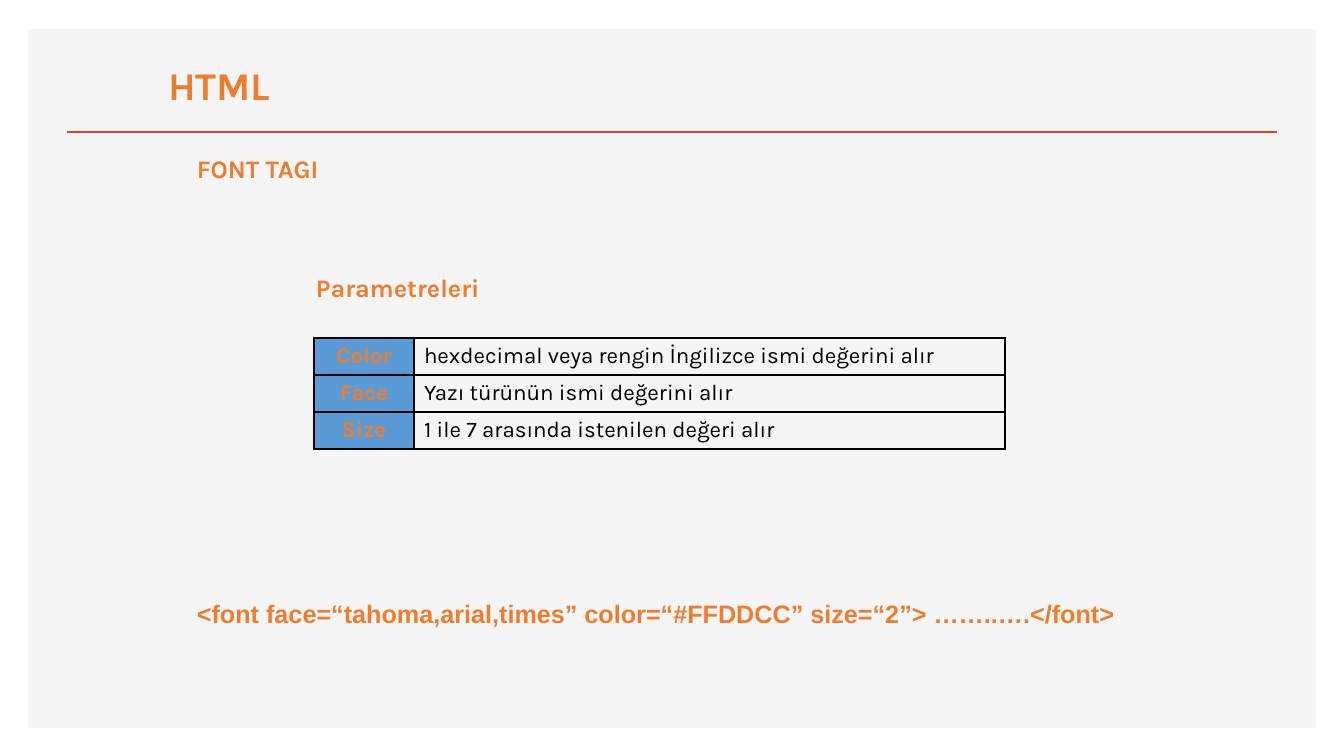
from dataclasses import dataclass

from lxml.etree import SubElement
from pptx import Presentation
from pptx.dml.color import RGBColor
from pptx.enum.shapes import MSO_CONNECTOR, MSO_SHAPE
from pptx.enum.text import MSO_ANCHOR, MSO_AUTO_SIZE, PP_ALIGN
from pptx.oxml.ns import qn
from pptx.util import Emu, Pt

HEADING = "HTML"
TAG_NAME = "FONT TAGI"
TABLE_CAPTION = "Parametreleri"
PARAMETERS = [
    ("Color", "hexdecimal veya rengin İngilizce ismi değerini alır"),
    ("Face", "Yazı türünün ismi değerini alır"),
    ("Size", "1 ile 7 arasında istenilen değeri alır"),
]
EXAMPLE = "<font face=“tahoma,arial,times” color=“#FFDDCC” size=“2”> ……..….</font>"

PX_PER_INCH = 100.8
SLIDE_SIZE = (1344, 756)
PANEL = (28, 29, 1288, 699)
RULE = (67, 132, 1277, 132)
HEADING_BOX = (158, 56, 132, 57)
TEXT_LEFT = 187
TAG_BOX = (TEXT_LEFT, 148, 928, 40)
CAPTION_BOX = (306, 267, 350, 40)
EXAMPLE_BOX = (TEXT_LEFT, 593, 945, 40)
TABLE_ORIGIN = (314, 338)
COLUMN_WIDTHS = (100, 591)
ROW_HEIGHT = 37


@dataclass(frozen=True)
class Theme:
    panel: str = "F5F5F5"
    rule: str = "D24726"
    accent: str = "ED7D31"
    key_fill: str = "5B9BD5"
    ink: str = "000000"
    font: str = "Karla"
    code_font: str = "Arial"
    heading_size: int = 28
    text_size: int = 18
    table_size: int = 16
    rule_width: int = 2
    border_width: int = 1


THEME = Theme()


def px(length):
    return Emu(round(length * 914400 / PX_PER_INCH))


def color(code):
    return RGBColor.from_string(code)


def write(frame, text, size, code=THEME.accent, bold=True, font=THEME.font,
          align=PP_ALIGN.LEFT):
    paragraph = frame.paragraphs[0]
    paragraph.alignment = align
    run = paragraph.add_run()
    run.text = text
    run.font.name = font
    run.font.size = Pt(size)
    run.font.bold = bold
    run.font.color.rgb = color(code)


def add_text(slide, box, text, font=THEME.font):
    frame = slide.shapes.add_textbox(*map(px, box)).text_frame
    frame.word_wrap = True
    frame.auto_size = MSO_AUTO_SIZE.SHAPE_TO_FIT_TEXT
    write(frame, text, THEME.text_size, font=font)


def add_borders(cell):
    properties = cell._tc.get_or_add_tcPr()
    for position, side in enumerate(("a:lnL", "a:lnR", "a:lnT", "a:lnB")):
        border = SubElement(properties, qn(side), w=str(Pt(THEME.border_width)))
        fill = SubElement(border, qn("a:solidFill"))
        SubElement(fill, qn("a:srgbClr"), val=THEME.ink)
        properties.insert(position, border)


def add_background(slide):
    panel = slide.shapes.add_shape(MSO_SHAPE.RECTANGLE, *map(px, PANEL))
    panel.shadow.inherit = False
    panel.fill.solid()
    panel.fill.fore_color.rgb = color(THEME.panel)
    panel.line.fill.background()
    slide.shapes._spTree.insert(2, panel._element)

    rule = slide.shapes.add_connector(MSO_CONNECTOR.STRAIGHT, *map(px, RULE))
    rule.line.color.rgb = color(THEME.rule)
    rule.line.width = Pt(THEME.rule_width)
    SubElement(rule._element.spPr, qn("a:effectLst"))


def add_heading(slide):
    heading = slide.shapes.title
    heading.left, heading.top, heading.width, heading.height = map(px, HEADING_BOX)
    frame = heading.text_frame
    frame.word_wrap = False
    frame.auto_size = MSO_AUTO_SIZE.SHAPE_TO_FIT_TEXT
    frame.vertical_anchor = MSO_ANCHOR.TOP
    write(frame, HEADING, THEME.heading_size)


def add_parameters(slide):
    size = (sum(COLUMN_WIDTHS), ROW_HEIGHT * len(PARAMETERS))
    table = slide.shapes.add_table(len(PARAMETERS), len(COLUMN_WIDTHS),
                                   *map(px, TABLE_ORIGIN + size)).table
    table.first_row = table.horz_banding = False
    for column, width in zip(table.columns, COLUMN_WIDTHS):
        column.width = px(width)
    for row, (name, meaning) in enumerate(PARAMETERS):
        table.rows[row].height = px(ROW_HEIGHT)
        key, value = table.cell(row, 0), table.cell(row, 1)
        key.fill.solid()
        key.fill.fore_color.rgb = color(THEME.key_fill)
        value.fill.background()
        write(key.text_frame, name, THEME.table_size, align=PP_ALIGN.CENTER)
        write(value.text_frame, meaning, THEME.table_size, THEME.ink, False,
              align=PP_ALIGN.JUSTIFY)
        add_borders(key)
        add_borders(value)


def main():
    deck = Presentation()
    deck.slide_width, deck.slide_height = map(px, SLIDE_SIZE)
    slide = deck.slides.add_slide(deck.slide_layouts[5])
    add_background(slide)
    add_heading(slide)
    add_text(slide, TAG_BOX, TAG_NAME)
    add_text(slide, CAPTION_BOX, TABLE_CAPTION)
    add_parameters(slide)
    add_text(slide, EXAMPLE_BOX, EXAMPLE, THEME.code_font)
    deck.save("out.pptx")


if __name__ == "__main__":
    main()
